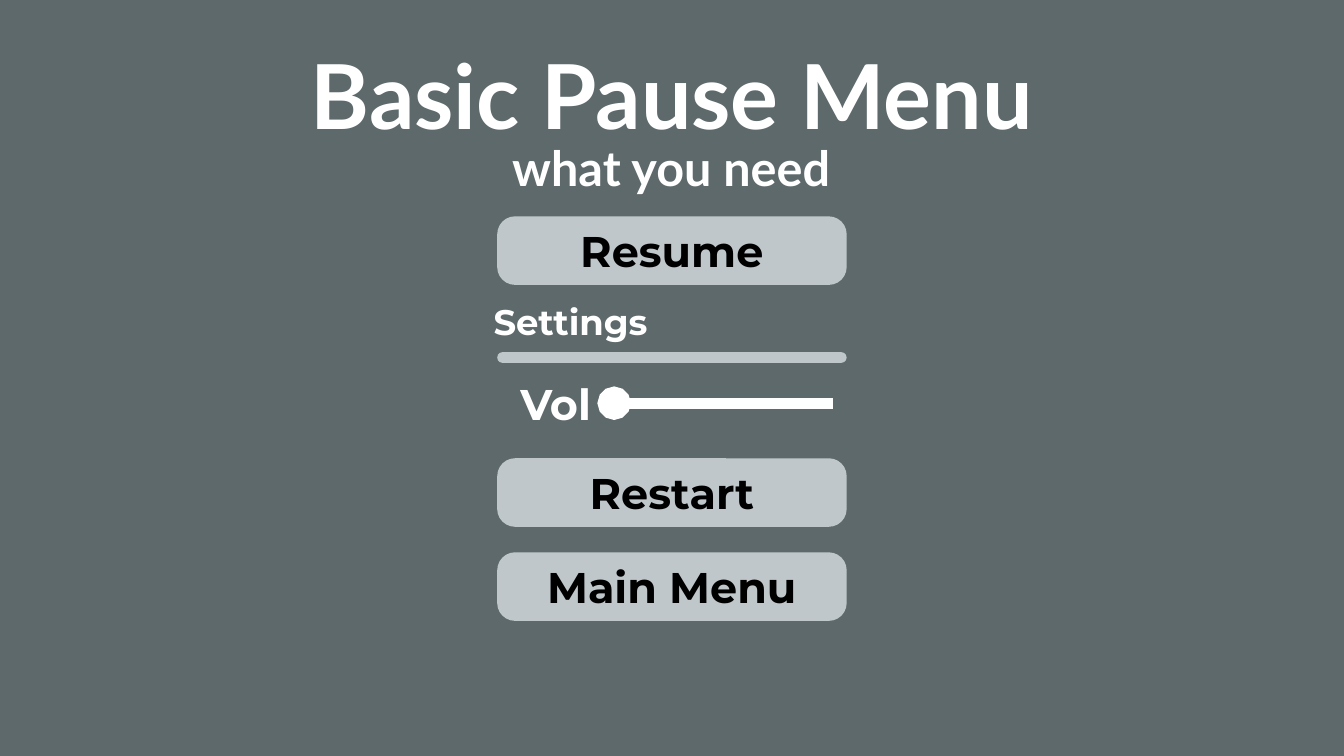
from dataclasses import dataclass

from lxml.etree import SubElement
from pptx import Presentation
from pptx.dml.color import RGBColor
from pptx.enum.shapes import MSO_CONNECTOR, MSO_SHAPE
from pptx.enum.text import MSO_ANCHOR, MSO_AUTO_SIZE, PP_ALIGN
from pptx.oxml.ns import qn
from pptx.shapes.placeholder import SlidePlaceholder
from pptx.slide import Slide
from pptx.text.text import TextFrame
from pptx.util import Inches, Pt

SLATE = RGBColor(0x5E, 0x69, 0x6C)
SILVER = RGBColor(0xBF, 0xC7, 0xCA)
WHITE = RGBColor(0xFF, 0xFF, 0xFF)
BLACK = RGBColor(0x00, 0x00, 0x00)

HEADING_FONT = "Lato"
MENU_FONT = "Montserrat"
SLIDE_WIDTH = 10
SLIDE_HEIGHT = SLIDE_WIDTH * 9 / 16
MENU_LEFT, MENU_WIDTH = 3.7, 2.6
BUTTON_HEIGHT, LABEL_HEIGHT = 0.51, 0.59


@dataclass
class Box:
    left: float
    top: float
    width: float
    height: float

    def emu(self) -> tuple:
        return tuple(Inches(v) for v in (self.left, self.top, self.width, self.height))


@dataclass
class Button:
    caption: str
    top: float
    caption_width: float


BUTTONS = [
    Button("Resume", 1.61, 1.62),
    Button("Restart", 3.41, 1.62),
    Button("Main Menu", 4.11, 2.43),
]


def write(frame: TextFrame, text: str, size: float, font: str, color: RGBColor,
          anchor: MSO_ANCHOR = MSO_ANCHOR.TOP) -> None:
    """Fill a frame with one bold, centred line."""
    frame.word_wrap = True
    frame.auto_size = MSO_AUTO_SIZE.NONE
    frame.vertical_anchor = anchor
    frame.margin_left = frame.margin_right = Inches(0.1)
    frame.margin_top = frame.margin_bottom = Inches(0.1)
    frame.text = text
    line = frame.paragraphs[0]
    line.alignment = PP_ALIGN.CENTER
    line.space_before = Pt(0)
    line.font.name = font
    line.font.size = Pt(size)
    line.font.bold = True
    line.font.color.rgb = color


def add_heading(heading: SlidePlaceholder, box: Box, text: str, size: float) -> None:
    heading.left, heading.top, heading.width, heading.height = box.emu()
    write(heading.text_frame, text, size, HEADING_FONT, WHITE, MSO_ANCHOR.MIDDLE)


def add_label(slide: Slide, box: Box, text: str, size: float, color: RGBColor) -> None:
    label = slide.shapes.add_textbox(*box.emu())
    write(label.text_frame, text, size, MENU_FONT, color)


def add_bar(slide: Slide, top: float, height: float, rounding: float) -> None:
    """Draw a rounded bar across the menu column."""
    box = Box(MENU_LEFT, top, MENU_WIDTH, height)
    bar = slide.shapes.add_shape(MSO_SHAPE.ROUNDED_RECTANGLE, *box.emu())
    bar.adjustments[0] = rounding
    bar.fill.solid()
    bar.fill.fore_color.rgb = SILVER
    bar.line.fill.background()
    bar.shadow.inherit = False


def add_button(slide: Slide, button: Button) -> None:
    add_bar(slide, button.top, BUTTON_HEIGHT, 0.26)
    left = MENU_LEFT + (MENU_WIDTH - button.caption_width) / 2
    top = button.top + (BUTTON_HEIGHT - LABEL_HEIGHT) / 2
    add_label(slide, Box(left, top, button.caption_width, LABEL_HEIGHT),
              button.caption, 23, BLACK)


def add_slider(slide: Slide, left: float, right: float, y: float) -> None:
    """Draw a track whose round start is the slider knob."""
    track = slide.shapes.add_connector(
        MSO_CONNECTOR.STRAIGHT, Inches(left), Inches(y), Inches(right), Inches(y))
    track.line.color.rgb = WHITE
    track.line.width = Pt(6)
    properties = track._element.spPr
    SubElement(properties.find(qn("a:ln")), qn("a:headEnd"), type="oval")
    SubElement(properties, qn("a:effectLst"))


def main() -> None:
    deck = Presentation()
    deck.slide_width, deck.slide_height = Inches(SLIDE_WIDTH), Inches(SLIDE_HEIGHT)
    slide = deck.slides.add_slide(deck.slide_layouts[0])
    slide.background.fill.solid()
    slide.background.fill.fore_color.rgb = SLATE

    # Headings
    title, subtitle = slide.placeholders
    add_heading(title, Box(1.93, 0, 6.14, 1.39), "Basic Pause Menu", 48)
    add_heading(subtitle, Box(3.61, 0.86, 2.77, 0.76), "what you need", 26)

    # Menu buttons
    for button in BUTTONS:
        add_button(slide, button)

    # Settings with volume slider
    add_bar(slide, 2.62, 0.08, 0.5)
    add_label(slide, Box(3.55, 2.13, 1.39, 0.52), "Settings", 19, WHITE)
    add_slider(slide, 4.57, 6.2, 3)
    add_label(slide, Box(MENU_LEFT, 2.71, 0.87, LABEL_HEIGHT), "Vol", 23, WHITE)

    deck.save("out.pptx")


if __name__ == "__main__":
    main()
